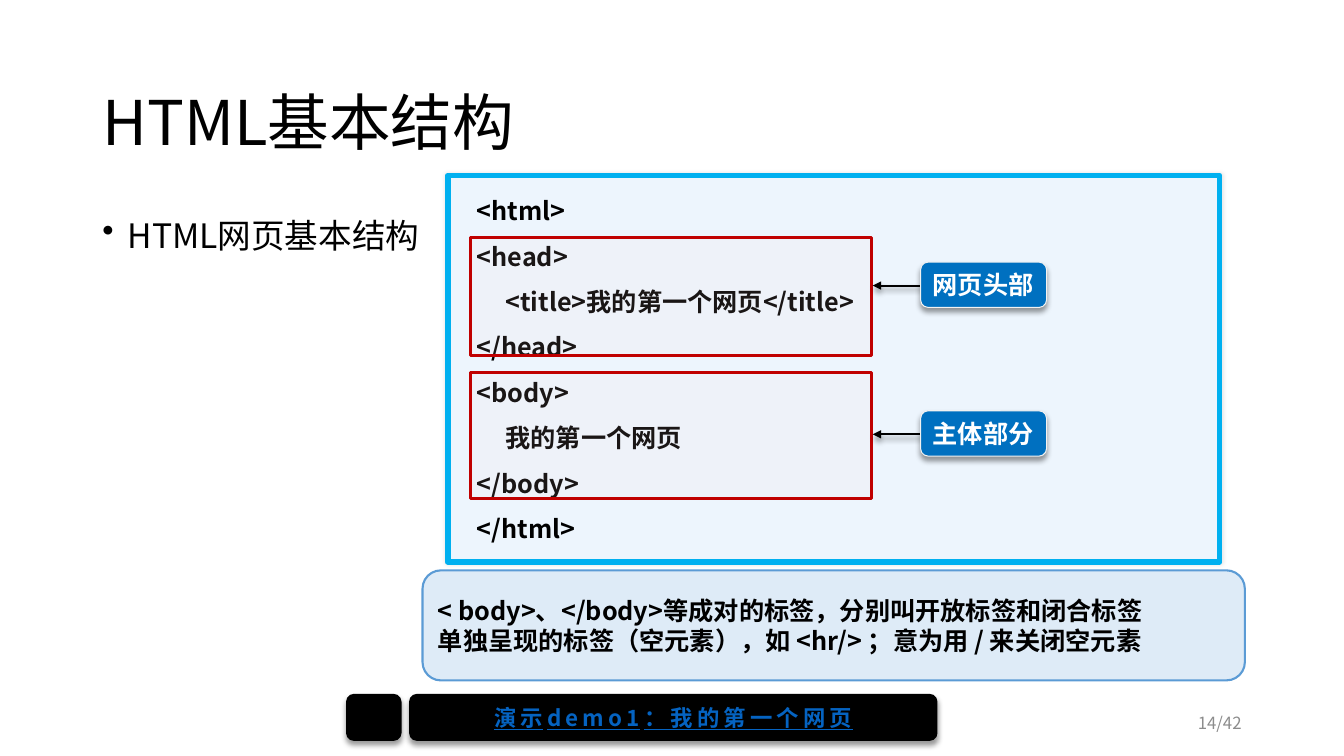
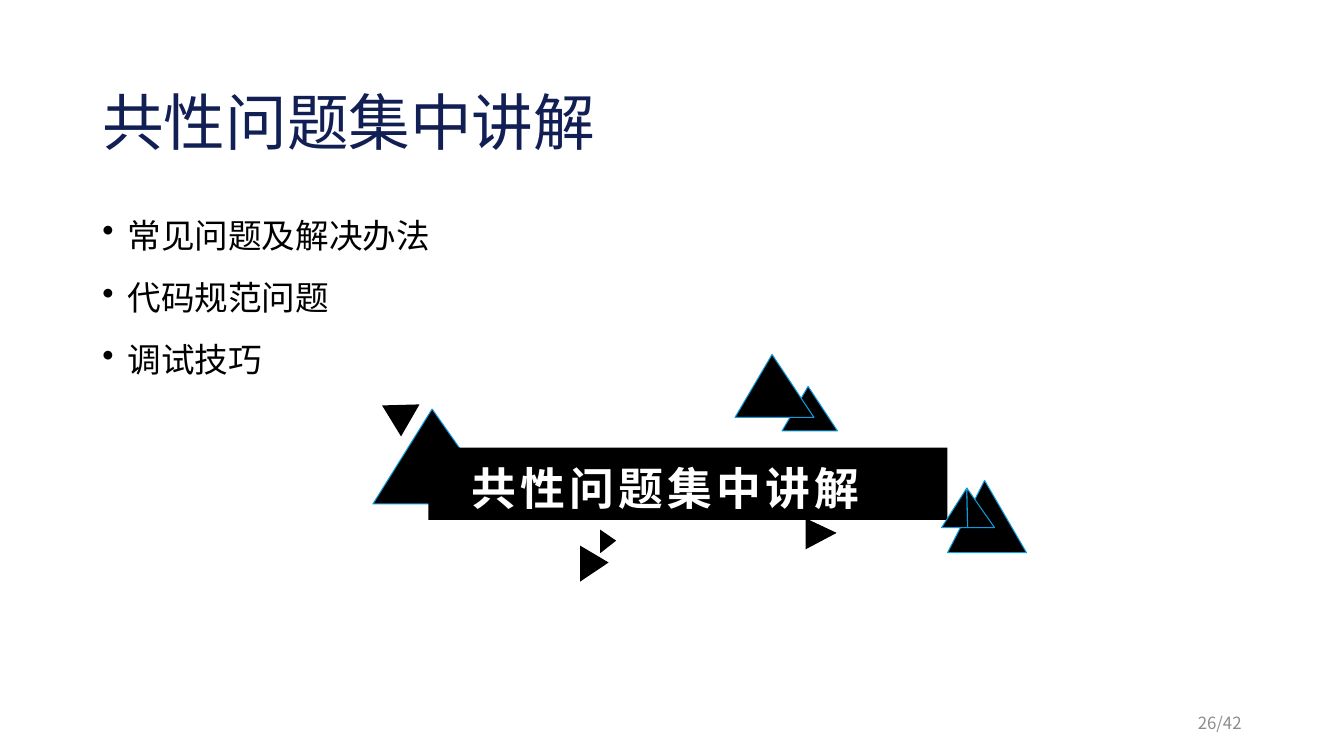
"""Build two lesson slides on HTML structure and common problems."""
from lxml.etree import SubElement
from pptx import Presentation
from pptx.dml.color import RGBColor
from pptx.enum.shapes import MSO_CONNECTOR, MSO_SHAPE
from pptx.enum.text import MSO_ANCHOR, PP_ALIGN
from pptx.oxml.ns import qn
from pptx.util import Inches, Pt

FONT = "Noto Sans CJK SC"
BLACK = RGBColor(0x00, 0x00, 0x00)
WHITE = RGBColor(0xFF, 0xFF, 0xFF)
NAVY = RGBColor(0x12, 0x1F, 0x55)
GREY = RGBColor(0x8C, 0x8C, 0x8C)
CODE_FILL = RGBColor(0xED, 0xF5, 0xFD)
CODE_LINE = RGBColor(0x00, 0xB0, 0xF0)
MARK_FILL = RGBColor(0xFF, 0xDD, 0xDD)
MARK_LINE = RGBColor(0xC0, 0x00, 0x00)
LABEL_FILL = RGBColor(0x00, 0x70, 0xC0)
LABEL_LINE = RGBColor(0xF2, 0xF2, 0xF2)
NOTE_FILL = RGBColor(0xDE, 0xEB, 0xF7)
NOTE_LINE = RGBColor(0x5B, 0x9B, 0xD5)
LINK = RGBColor(0x05, 0x63, 0xC1)
EDGE = RGBColor(0x0E, 0x9C, 0xDE)

COLUMNS, ROWS = 160, 90
SOFT = (10, 3, 0, 0)
DROP = (40, 4, 3, 90)


class Lesson:
    """Hold the deck, its grid and the current page."""

    def __init__(self):
        """Open an empty wide deck."""
        self.deck = Presentation()
        self.deck.slide_width = Inches(13.33)
        self.deck.slide_height = Inches(7.5)
        self.page = None

    def grid(self, *cells):
        """Turn alternating columns and rows into slide lengths."""
        steps = (self.deck.slide_width / COLUMNS, self.deck.slide_height / ROWS)
        return [round(cell * steps[i % 2]) for i, cell in enumerate(cells)]

    def letter(self, box, lines, size, color=BLACK, bold=False, align=PP_ALIGN.LEFT,
               anchor=MSO_ANCHOR.MIDDLE, leading=1.0, before=0, bullet=None,
               margin=0, hang=0, tracking=0, underline=False, wrap=True):
        """Fill a box with evenly styled paragraphs."""
        frame = box.text_frame
        frame.word_wrap = wrap
        frame.vertical_anchor = anchor
        for i, line in enumerate(lines):
            para = frame.paragraphs[0] if i == 0 else frame.add_paragraph()
            para.add_run().text = line
            para.alignment = align
            para.line_spacing = leading
            para.space_before = Pt(before if i else 0)
            settings = para._p.get_or_add_pPr()
            settings.set("marL", str(Inches(margin)))
            settings.set("indent", str(Inches(-hang)))
            if bullet:
                SubElement(settings, qn("a:buChar")).set("char", bullet)
            font = para.font
            font.name, font.size, font.bold = FONT, Pt(size), bold
            font.color.rgb = color
            font.underline = underline
            defaults = settings.find(qn("a:defRPr"))
            SubElement(defaults, qn("a:ea")).set("typeface", FONT)
            if tracking:
                defaults.set("spc", str(tracking * 100))

    def text(self, place, lines, size, **style):
        """Add a plain text box."""
        box = self.page.shapes.add_textbox(*self.grid(*place))
        self.letter(box, lines, size, **style)

    def cast(self, effects, shadow):
        """Put an outer shadow in an effect list."""
        alpha, blur, distance, angle = shadow
        outer = SubElement(effects, qn("a:outerShdw"), blurRad=str(Pt(blur)),
                           dist=str(Pt(distance)), dir=str(angle * 60000), rotWithShape="0")
        tint = SubElement(outer, qn("a:srgbClr"), val=str(BLACK))
        SubElement(tint, qn("a:alpha"), val=str(alpha * 1000))

    def paint(self, box, fill, line=None, weight=0.75, alpha=None, shadow=None):
        """Set the fill, outline and shadow of a shape."""
        box.fill.solid()
        box.fill.fore_color.rgb = fill
        if alpha is not None:
            tint = box._element.spPr.find(qn("a:solidFill")).find(qn("a:srgbClr"))
            SubElement(tint, qn("a:alpha"), val=str(alpha * 1000))
        if line is None:
            box.line.fill.background()
        else:
            box.line.color.rgb = line
            box.line.width = Pt(weight)
        box.shadow.inherit = False
        if shadow:
            self.cast(box._element.spPr.find(qn("a:effectLst")), shadow)

    def shape(self, kind, place, fill, **look):
        """Add a preset shape."""
        box = self.page.shapes.add_shape(kind, *self.grid(*place))
        self.paint(box, fill, **look)
        return box

    def triangle(self, place, rotation=0, line=None):
        """Add a black triangle with its tip a little left of centre."""
        box = self.shape(MSO_SHAPE.ISOSCELES_TRIANGLE, place, BLACK, line=line)
        box.adjustments[0] = 0.47
        box.rotation = rotation

    def outline(self, points):
        """Add a black closed outline."""
        start, *others = [self.grid(*point) for point in points]
        builder = self.page.shapes.build_freeform(*start)
        builder.add_line_segments(others, close=True)
        self.paint(builder.convert_to_shape(), BLACK, line=EDGE)

    def arrow(self, start, end):
        """Add a black arrow with a soft shadow."""
        line = self.page.shapes.add_connector(
            MSO_CONNECTOR.STRAIGHT, *self.grid(*start), *self.grid(*end))
        line.line.color.rgb = BLACK
        line.line.width = Pt(1.5)
        SubElement(line.line._get_or_add_ln(), qn("a:tailEnd"), type="triangle")
        self.cast(SubElement(line._element.spPr, qn("a:effectLst")), DROP)

    def marked_part(self, top, height, label, label_top):
        """Frame a part of the code and point a label at it."""
        self.shape(MSO_SHAPE.RECTANGLE, (56, top, 47.8, height), MARK_FILL,
                   line=MARK_LINE, weight=2.25, alpha=10)
        middle = label_top + 2.8
        self.arrow((110.5, middle), (103.9, middle))
        box = self.shape(MSO_SHAPE.ROUNDED_RECTANGLE, (109.6, label_top, 15, 5.4),
                         LABEL_FILL, line=LABEL_LINE, shadow=DROP)
        self.letter(box, [label], 18, color=WHITE, bold=True, wrap=False)

    def start_page(self, title, bullets, number, color=BLACK):
        """Add a page with its title, bullets and number."""
        self.page = self.deck.slides.add_slide(self.deck.slide_layouts[6])
        self.text((11, 4.8, 138, 17.4), [title], 44, color=color, leading=1.2)
        self.text((11, 24, 138, 57), bullets, 24, anchor=MSO_ANCHOR.TOP, leading=1.2,
                  before=10, bullet="•", margin=0.25, hang=0.25)
        self.text((113, 83.4, 36, 4.8), [number], 12, color=GREY,
                  align=PP_ALIGN.RIGHT, leading=1.2)


def build_structure(lesson):
    """Show the basic structure of a web page."""
    lesson.start_page("HTML基本结构", ["HTML网页基本结构"], "14/42")
    code = lesson.shape(MSO_SHAPE.RECTANGLE, (53.3, 20.9, 91.9, 46), CODE_FILL,
                        line=CODE_LINE, weight=4, shadow=SOFT)
    lesson.letter(code, ["<html>", "<head>", "     <title>我的第一个网页</title>", "</head>",
                         "<body>", "     我的第一个网页", "</body>", "</html>"],
                  18, bold=True, anchor=MSO_ANCHOR.TOP, leading=1.5, margin=0.19)
    lesson.marked_part(28.3, 14, "网页头部", 31.2)
    lesson.marked_part(44.3, 15, "主体部分", 48.9)
    note = lesson.shape(MSO_SHAPE.ROUNDED_RECTANGLE, (50.3, 67.9, 97.9, 13.1), NOTE_FILL,
                        line=NOTE_LINE, weight=1.5)
    lesson.letter(note, ["< body>、</body>等成对的标签，分别叫开放标签和闭合标签",
                         "单独呈现的标签（空元素），如 <hr/> ；意为用 / 来关闭空元素"], 18, bold=True)
    for left, width in ((41.2, 6.6), (48.7, 62.9)):
        bar = lesson.shape(MSO_SHAPE.ROUNDED_RECTANGLE, (left, 82.6, width, 5.6), BLACK,
                           shadow=DROP)
    lesson.letter(bar, ["演示demo1：我的第一个网页"], 16, color=LINK, bold=True,
                  align=PP_ALIGN.CENTER, tracking=3, underline=True, wrap=False)


def build_problems(lesson):
    """List the common problems above a banner of triangles."""
    lesson.start_page("共性问题集中讲解", ["常见问题及解决办法", "代码规范问题", "调试技巧"],
                      "26/42", color=NAVY)
    for place in ((44.4, 48.7, 15, 11.3), (112.8, 57.2, 9.4, 8.6),
                  (93.1, 46, 6.6, 5.3), (87.5, 42.2, 9.4, 7.5)):
        lesson.triangle(place, line=EDGE)
    for place, rotation in (((71, 63.5, 2.8, 1.9), 90), ((45, 47.2, 4.4, 3.8), 300),
                            ((68.6, 65.4, 4.3, 3.4), 90), ((95.9, 61.7, 3.7, 3.7), 90)):
        lesson.triangle(place, rotation)
    banner = lesson.shape(MSO_SHAPE.RECTANGLE, (51, 53.3, 61.8, 8.6), BLACK)
    lesson.letter(banner, ["共性问题集中讲解"], 32, color=WHITE, bold=True,
                  align=PP_ALIGN.CENTER, anchor=MSO_ANCHOR.TOP, tracking=3)
    banner.text_frame.margin_top = Inches(0.13)
    banner.text_frame.margin_right = Inches(0.54)
    for corner in (112.1, 118.4):
        lesson.outline([(corner, 62.8), (115.1, 58.1), (115.2, 62.8)])


def main():
    """Build and save the deck."""
    lesson = Lesson()
    build_structure(lesson)
    build_problems(lesson)
    lesson.deck.save("out.pptx")


if __name__ == "__main__":
    main()
